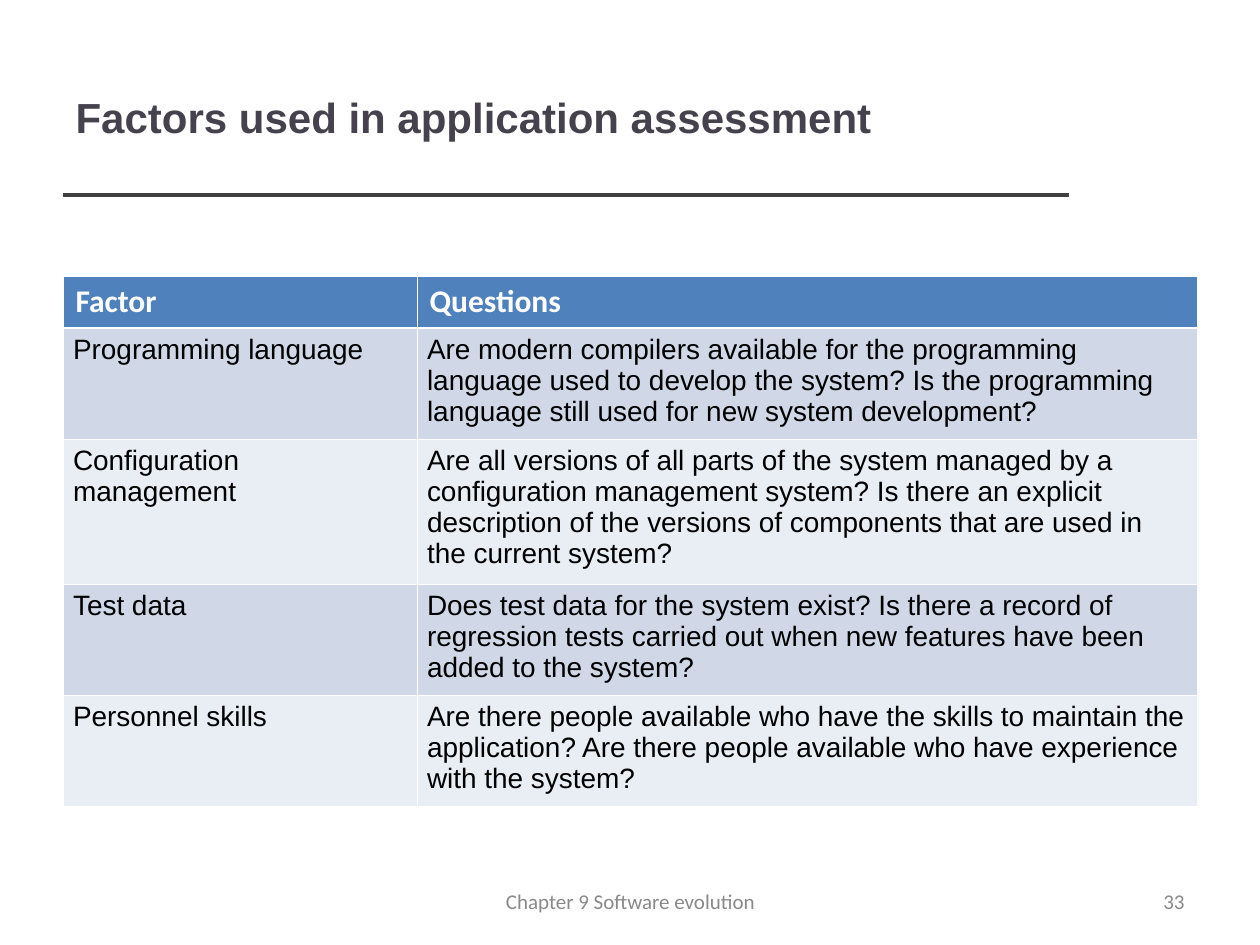
from lxml import etree
from pptx import Presentation
from pptx import util as u
from pptx.dml.color import RGBColor
from pptx.enum import shapes, text
from pptx.oxml import ns

TITLE = "Factors used in application assessment"
HEADINGS = ("Factor", "Questions")
FACTORS = [
    ("Programming language",
     "Are modern compilers available for the programming language used to develop "
     "the system? Is the programming language still used for new system development?"),
    ("Configuration management",
     "Are all versions of all parts of the system managed by a configuration "
     "management system? Is there an explicit description of the versions of "
     "components that are used in the current system?"),
    ("Test data",
     "Does test data for the system exist? Is there a record of regression tests "
     "carried out when new features have been added to the system?"),
    ("Personnel skills",
     "Are there people available who have the skills to maintain the application? "
     "Are there people available who have experience with the system?"),
]
ALIGN = text.PP_ALIGN
FOOTERS = [  # wording, left, width, alignment
    ("Chapter 9 Software evolution", 431, 399, ALIGN.CENTER),
    ("33", 903, 294, ALIGN.RIGHT),
]
COLORS = {
    "title": "46424D", "rule": "404040", "header": "4F81BD", "white": "FFFFFF",
    "band_dark": "D0D8E8", "band_light": "E9EDF4", "body": "000000", "footer": "898989",
}
COLUMN_WIDTHS = (354, 780)
ROW_HEIGHTS = (52, 111, 145, 111, 111)
THIN, THICK = 0.45, 1.47


def px(n):
    return u.Emu(n * 914400 // 126)


def color(key):
    return RGBColor.from_string(COLORS[key])


def add_run(paragraph, words, font, size, key, bold=False):
    run = paragraph.add_run()
    run.text = words
    run.font.name, run.font.size, run.font.bold = font, u.Pt(size), bold
    run.font.color.rgb = color(key)


def add_borders(cell, top, bottom):
    """Draw white cell borders; widths are in points."""
    tc_pr = cell._tc.get_or_add_tcPr()
    sides = (("lnL", THIN), ("lnR", THIN), ("lnT", top), ("lnB", bottom))
    for index, (side, width) in enumerate(sides):
        line = etree.Element(ns.qn(f"a:{side}"), w=str(u.Pt(width)))
        fill = etree.SubElement(line, ns.qn("a:solidFill"))
        etree.SubElement(fill, ns.qn("a:srgbClr"), val=COLORS["white"])
        tc_pr.insert(index, line)


def add_title(slide):
    title = slide.shapes.title
    title.left, title.top, title.width, title.height = px(63), px(38), px(1006), px(157)
    frame = title.text_frame
    frame.word_wrap = True
    frame.auto_size = text.MSO_AUTO_SIZE.NONE
    frame.vertical_anchor = text.MSO_ANCHOR.MIDDLE
    frame.paragraphs[0].alignment = ALIGN.LEFT
    add_run(frame.paragraphs[0], TITLE, "Arial", 24, "title", True)


def add_rule(slide):
    rule = slide.shapes.add_connector(
        shapes.MSO_CONNECTOR.STRAIGHT, px(63), px(195), px(1069), px(195))
    rule.line.color.rgb = color("rule")
    rule.line.width = u.Pt(2)
    etree.SubElement(rule._element.spPr, ns.qn("a:effectLst"))


def add_factor_table(slide):
    rows = [HEADINGS] + FACTORS
    table = slide.shapes.add_table(
        len(rows), len(HEADINGS), px(63), px(276),
        px(sum(COLUMN_WIDTHS)), px(sum(ROW_HEIGHTS))).table
    for column, width in zip(table.columns, COLUMN_WIDTHS):
        column.width = px(width)
    for r, (row, height) in enumerate(zip(rows, ROW_HEIGHTS)):
        table.rows[r].height = px(height)
        for c, words in enumerate(row):
            cell = table.cell(r, c)
            paragraph = cell.text_frame.paragraphs[0]
            cell.margin_top = cell.margin_bottom = u.Inches(0.05)
            if r == 0:
                band, inset = "header", 0.1
                add_run(paragraph, words, "Calibri", 18, "white", True)
            else:
                band, inset = ("band_dark" if r % 2 else "band_light"), 0.08
                paragraph.space_after = u.Pt(6)
                add_run(paragraph, words, "Arial", 16, "body")
            cell.margin_left = cell.margin_right = u.Inches(inset)
            cell.fill.solid()
            cell.fill.fore_color.rgb = color(band)
            add_borders(cell, THICK if r == 1 else THIN, THICK if r == 0 else THIN)


def add_footers(slide):
    for words, left, width, alignment in FOOTERS:
        frame = slide.shapes.add_textbox(px(left), px(876), px(width), px(50)).text_frame
        frame.word_wrap = True
        frame.vertical_anchor = text.MSO_ANCHOR.MIDDLE
        frame.paragraphs[0].alignment = alignment
        add_run(frame.paragraphs[0], words, "Calibri", 12, "footer")


def main():
    deck = Presentation()
    deck.slide_width, deck.slide_height = px(1260), px(945)
    slide = deck.slides.add_slide(deck.slide_layouts.get_by_name("Title Only"))
    add_rule(slide)
    add_title(slide)
    add_factor_table(slide)
    add_footers(slide)
    deck.save("out.pptx")


if __name__ == "__main__":
    main()
